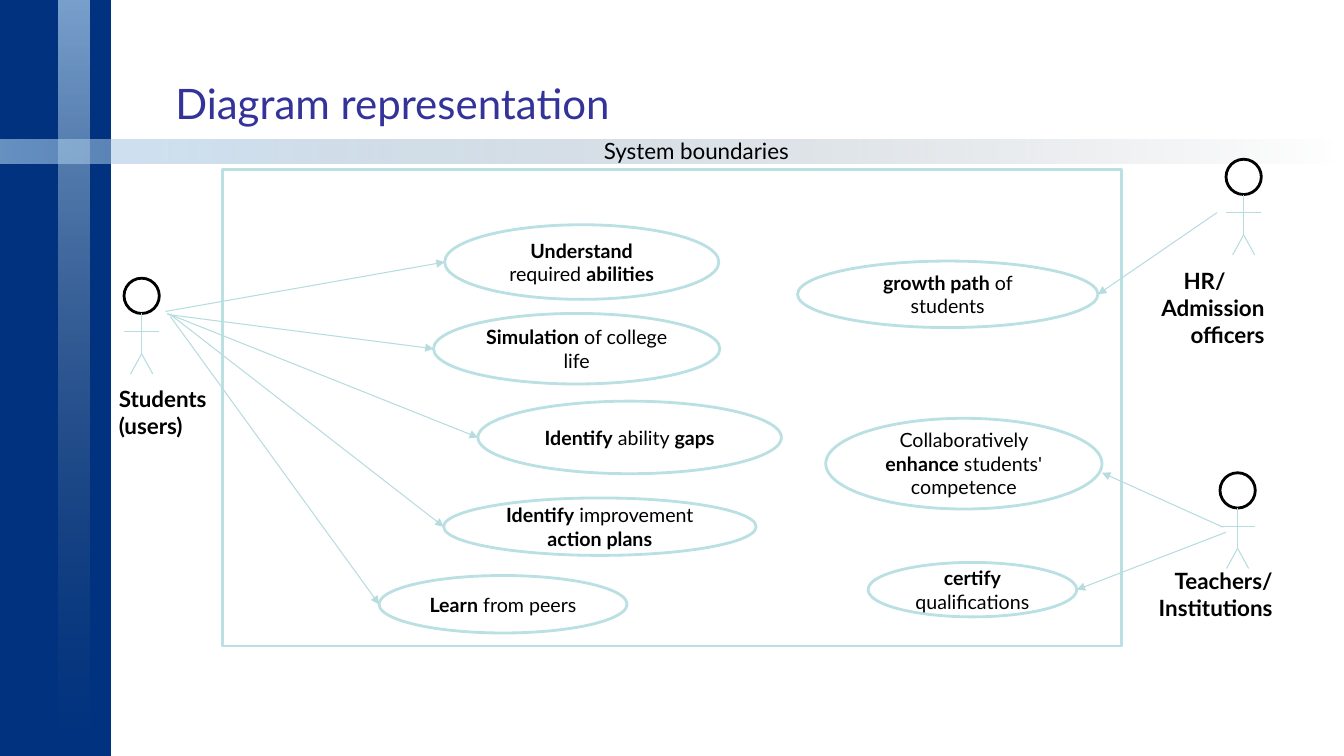
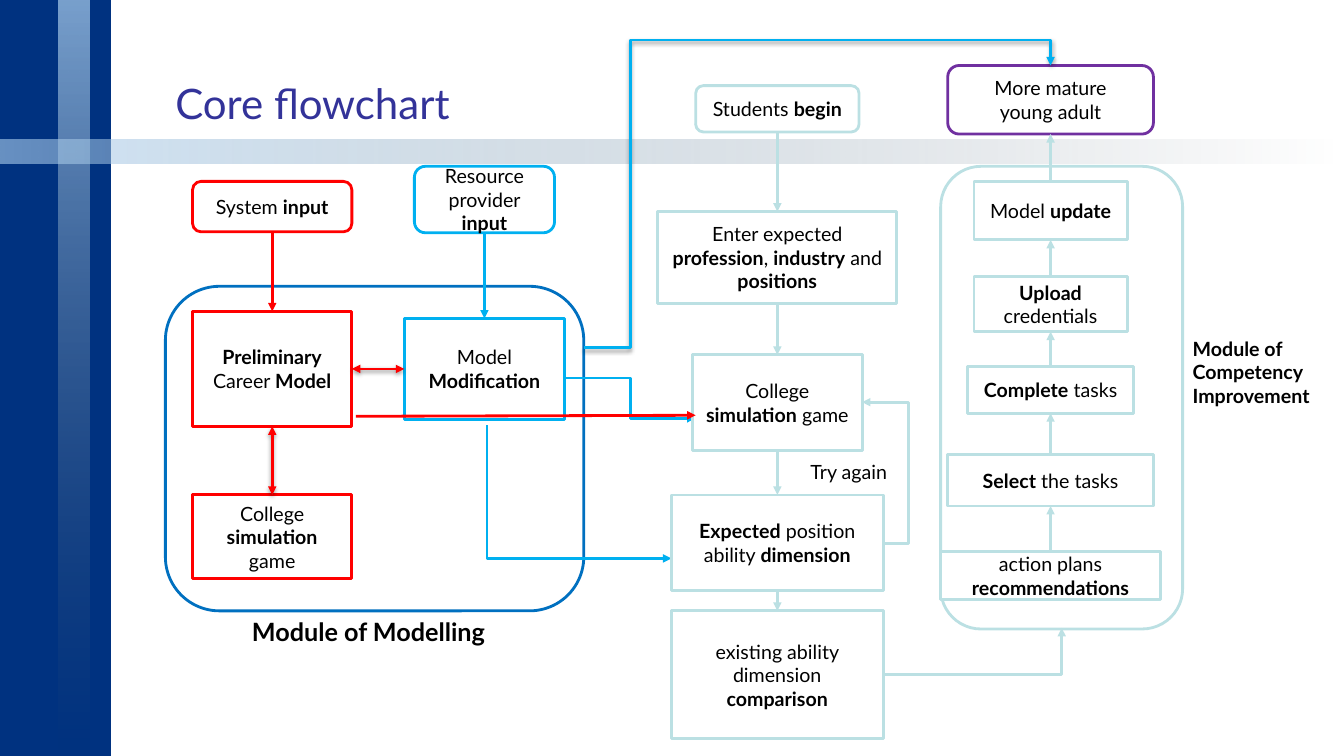
from itertools import pairwise

from pptx import Presentation
from pptx.dml.color import RGBColor
from pptx.enum.shapes import MSO_CONNECTOR as CONN, MSO_SHAPE as SHAPE
from pptx.enum.text import MSO_ANCHOR as ANCHOR, PP_ALIGN as ALIGN
from pptx.oxml.ns import qn
from pptx.oxml.xmlchemy import OxmlElement
from pptx.util import Inches, Pt

C = {
    "navy": "003280", "sky": "AED1EF", "slate": "51616F", "title": "333399",
    "black": "000000", "white": "FFFFFF", "pale": "BBE0E3", "thin": "B6DCDF",
    "red": "FF0000", "cyan": "00B0F0", "blue": "0070C0", "purple": "7030A0",
}
FONT = "Lato"
TOP, LEFT, BOTTOM, RIGHT = range(4)  # connection sites of a rectangle


def rgb(name):
    return RGBColor.from_string(C[name])


def sub(parent, tag, **attrs):
    el = OxmlElement(tag)
    for key, value in attrs.items():
        el.set(key, str(value))
    parent.append(el)
    return el


# --- Text: **...** marks bold words ---
def write(tf, paras, size, color="black", align=ALIGN.LEFT, anchor=ANCHOR.TOP):
    tf.word_wrap = True
    tf.vertical_anchor = anchor
    for i, para in enumerate(paras):
        p = tf.add_paragraph() if i else tf.paragraphs[0]
        p.alignment = align
        for j, part in enumerate(para.split("**")):
            if not part:
                continue
            r = p.add_run()
            r.text = part
            fmt = {"name": FONT, "size": Pt(size), "bold": j % 2 == 1}
            for key, value in fmt.items():
                setattr(r.font, key, value)
            r.font.color.rgb = rgb(color)


def label(s, at, paras, size=16, **style):
    tf = s.shapes.add_textbox(*map(Inches, at)).text_frame
    write(tf, paras, size, **style)
    return tf


# --- Shapes ---
def box(s, kind, at, line, *paras):
    sp = s.shapes.add_shape(kind, *map(Inches, at))
    sp.shadow.inherit = False
    sp.fill.solid()
    sp.fill.fore_color.rgb = rgb("white")
    sp.line.color.rgb = rgb(line)
    sp.line.width = Pt(2)
    if paras:
        write(sp.text_frame, paras, 14, align=ALIGN.CENTER, anchor=ANCHOR.MIDDLE)
    return sp


def band(s, at, opacity=None, rotation=0):
    """Plain navy band, or a fading one when an opacity is given."""
    sp = s.shapes.add_shape(SHAPE.RECTANGLE, *map(Inches, at))
    sp.shadow.inherit = False
    sp.line.fill.background()
    sp.rotation = rotation
    if opacity is None:
        sp.fill.solid()
        sp.fill.fore_color.rgb = rgb("navy")
        return sp
    sp.fill.gradient()
    sp.fill.gradient_angle = 270
    fade = (("sky", 0, opacity), ("slate", 1, 0))
    for stop, (color, position, alpha) in zip(sp.fill.gradient_stops, fade):
        stop.color.rgb = rgb(color)
        stop.position = position
    for clr, (_, _, alpha) in zip(sp.element.spPr.iter(qn("a:srgbClr")), fade):
        sub(clr, "a:alpha", val=alpha * 1000)
    return sp


# --- Connectors ---
def connector(s, start, end, color, width=2, kind=CONN.STRAIGHT,
              head=False, tail=True, shadow=False):
    c = s.shapes.add_connector(kind, *map(Inches, (*start, *end)))
    c.line.color.rgb = rgb(color)
    c.line.width = Pt(width)
    sp_pr = c.element.spPr
    ln = sp_pr.find(qn("a:ln"))
    for tag, shown in (("a:headEnd", head), ("a:tailEnd", tail)):
        if shown:
            sub(ln, tag, type="triangle")
    effects = sub(sp_pr, "a:effectLst")
    if shadow:
        outer = sub(effects, "a:outerShdw", blurRad=40000, dist=20000,
                    dir=5400000, rotWithShape=0)
        sub(sub(outer, "a:srgbClr", val=C["black"]), "a:alpha", val=38000)
    return c


def link(s, a, a_side, b, b_side, color, **style):
    c = connector(s, (0, 0), (1, 1), color, **style)
    c.begin_connect(a, a_side)
    c.end_connect(b, b_side)


def elbow(s, start, end, color, *bends, preset="bentConnector3", **style):
    c = connector(s, start, end, color, kind=CONN.ELBOW, **style)
    geom = c.element.spPr.find(qn("a:prstGeom"))
    geom.set("prst", preset)
    for i, bend in enumerate(bends, 1):
        sub(geom.find(qn("a:avLst")), "a:gd", name=f"adj{i}",
            fmla=f"val {round(bend * 100000)}")


# --- Composite elements ---
def actor(s, x, y, d=0.35):
    """Stick figure whose head has its corner at x, y."""
    mid, hip = x + d / 2, y + 0.75
    box(s, SHAPE.OVAL, (x, y, d, d), "black")
    limbs = [((mid, y + d), (mid, hip)), ((x, y + 0.53), (x + d, y + 0.53))]
    limbs += [((mid + dx, hip + 0.2), (mid, hip)) for dx in (-0.11, 0.11)]
    for start, end in limbs:
        connector(s, start, end, "thin", 0.75, tail=False)


def column(s, center, items, start_side, end_side):
    """Boxes on one centre line, each linked to the next."""
    boxes = [box(s, kind, (center - w / 2, y, w, h), line, *paras)
             for kind, y, w, h, line, *paras in items]
    for a, b in pairwise(boxes):
        link(s, a, start_side, b, end_side, "pale")
    return boxes


def add_bands(s, layout):
    """Place the shared bands on the layout, behind every slide."""
    for sp in (band(s, (0, 0, 1.1, 7.5)),
               band(s, (0.58, 0, 0.31, 7.5), 70),
               band(s, (6.55, -5.16, 0.24, 13.33), 60, 270)):
        layout.shapes.element.append(sp.element)


def add_title(s, text, width):
    label(s, (1.64, 0.63, width, 0.69), [text], 30, color="title",
          anchor=ANCHOR.BOTTOM)


# --- Slides ---
def use_case_slide(s):
    add_title(s, "Diagram representation", 4.58)
    label(s, (5.89, 1.31, 2.05, 0.37), ["System boundaries"]).word_wrap = False
    box(s, SHAPE.RECTANGLE, (2.21, 1.68, 8.91, 4.73), "pale")

    # Actors
    for x, y in ((1.23, 2.76), (12.16, 1.58), (12.1, 4.69)):
        actor(s, x, y)
    label(s, (1.08, 3.77, 1.25, 0.64), ["**Students**", "**(users)**"])
    tf = label(s, (11.26, 2.6, 1.38, 0.91), ["**HR/**", "**Admission officers**"],
               align=ALIGN.RIGHT)
    tf.paragraphs[0].alignment = ALIGN.LEFT
    tf.paragraphs[0]._p.get_or_add_pPr().set("marL", str(Inches(0.38)))
    label(s, (11.12, 5.58, 1.6, 0.91), ["**Teachers/**", "**Institutions**"],
          align=ALIGN.RIGHT)

    # Use cases: place, text, arrow start and arrow end
    student_cases = [
        ((4.41, 2.23, 2.72, 0.74), "**Understand** required **abilities**", (1.64, 3.09)),
        ((4.3, 3.11, 2.84, 0.7), "**Simulation** of college life", (1.66, 3.12)),
        ((4.74, 3.98, 3.01, 0.72), "**Identify** ability **gaps**", (1.66, 3.11)),
        ((4.4, 4.94, 3.1, 0.57), "**Identify** improvement **action plans**", (1.69, 3.12)),
        ((3.76, 5.71, 2.46, 0.57), "**Learn** from peers", (1.69, 3.14)),
    ]
    staff_cases = [
        ((7.91, 2.59, 2.98, 0.66), "**growth path** of students",
         (12.07, 2.11), (10.89, 2.92)),
        ((8.19, 4.15, 2.74, 0.9), "Collaboratively **enhance** students' competence",
         (12.13, 5.23), (10.93, 4.69)),
        ((8.61, 5.58, 2.07, 0.54), "**certify** qualifications",
         (12.16, 5.28), (10.68, 5.85)),
    ]
    cases = [(at, text, start, (at[0], at[1] + at[3] / 2))
             for at, text, start in student_cases] + staff_cases
    for at, text, start, end in cases:
        box(s, SHAPE.OVAL, at, "pale", text)
        connector(s, start, end, "thin", 0.75)


def flowchart_slide(s):
    rect, rounded = SHAPE.RECTANGLE, SHAPE.ROUNDED_RECTANGLE
    add_title(s, "Core flowchart", 3.6)

    # Modules
    box(s, rounded, (1.64, 2.84, 4.15, 3.22), "blue")
    box(s, rounded, (9.33, 1.65, 2.4, 4.59), "pale")
    label(s, (2.4, 6.07, 3.1, 0.4), ["**Module of Modelling**"], 18)
    label(s, (11.73, 3.29, 1.65, 1.04), ["**Module of Competency Improvement**"], 14)

    # Modelling
    system = box(s, rounded, (1.91, 1.8, 1.58, 0.5), "red", "System **input**")
    career = box(s, rect, (1.91, 3.09, 1.58, 1.14), "red",
                 "**Preliminary**", "Career **Model**")
    game = box(s, rect, (1.91, 4.91, 1.58, 0.83), "red", "College **simulation** game")
    provider = box(s, rounded, (4.11, 1.65, 1.39, 0.66), "cyan",
                   "Resource provider **input**")
    modification = box(s, rect, (4.01, 3.16, 1.59, 1), "cyan", "Model **Modification**")
    link(s, system, BOTTOM, career, TOP, "red")
    link(s, provider, BOTTOM, modification, TOP, "cyan")
    elbow(s, (5.6, 3.75), (6.9, 4.15), "cyan", 0.5)
    elbow(s, (4.83, 4.22), (6.66, 5.54), "cyan", 0)

    # Student flow, downwards
    column(s, 7.71, [
        (rounded, 0.85, 1.62, 0.46, "pale", "Students **begin**"),
        (rect, 2.1, 2.37, 0.91, "pale",
         "Enter expected **profession**, **industry** and **positions**"),
        (rect, 3.52, 1.69, 0.95, "pale", "College **simulation** game"),
        (rect, 4.91, 2.1, 0.95, "pale", "**Expected** position ability **dimension**"),
        (rect, 6.06, 2.1, 1.27, "pale", "existing ability dimension **comparison**"),
    ], BOTTOM, TOP)
    elbow(s, (8.76, 5.39), (8.55, 3.99), "pale", -1.18)
    label(s, (7.94, 4.51, 1.03, 0.34), ["Try again"], 14)
    connector(s, (3.53, 4.13), (6.9, 4.12), "red")

    # Competency improvement, upwards
    column(s, 10.42, [
        (rect, 5.47, 2.18, 0.48, "pale", "action plans **recommendations**"),
        (rect, 4.51, 2.05, 0.51, "pale", "**Select** the tasks"),
        (rect, 3.64, 1.64, 0.46, "pale", "**Complete** tasks"),
        (rect, 2.74, 1.52, 0.55, "pale", "**Upload** credentials"),
        (rect, 1.8, 1.52, 0.58, "pale", "Model **update**"),
        (rounded, 0.65, 2.04, 0.68, "purple", "More mature", "young adult"),
    ], TOP, BOTTOM)

    # Links between the parts
    link(s, career, RIGHT, modification, LEFT, "red", head=True, shadow=True)
    link(s, career, BOTTOM, game, TOP, "red", head=True, shadow=True)
    elbow(s, (5.79, 3.45), (10.42, 0.65), "cyan", 0.1, 1.09,
          preset="bentConnector4", shadow=True)
    elbow(s, (8.75, 6.69), (10.53, 6.23), "pale", preset="bentConnector2")


def main():
    prs = Presentation()
    prs.slide_width, prs.slide_height = Inches(13.33), Inches(7.5)
    layout = prs.slide_layouts[6]
    slides = [prs.slides.add_slide(layout) for _ in range(2)]
    add_bands(slides[0], layout)
    use_case_slide(slides[0])
    flowchart_slide(slides[1])
    prs.save("out.pptx")


if __name__ == "__main__":
    main()
